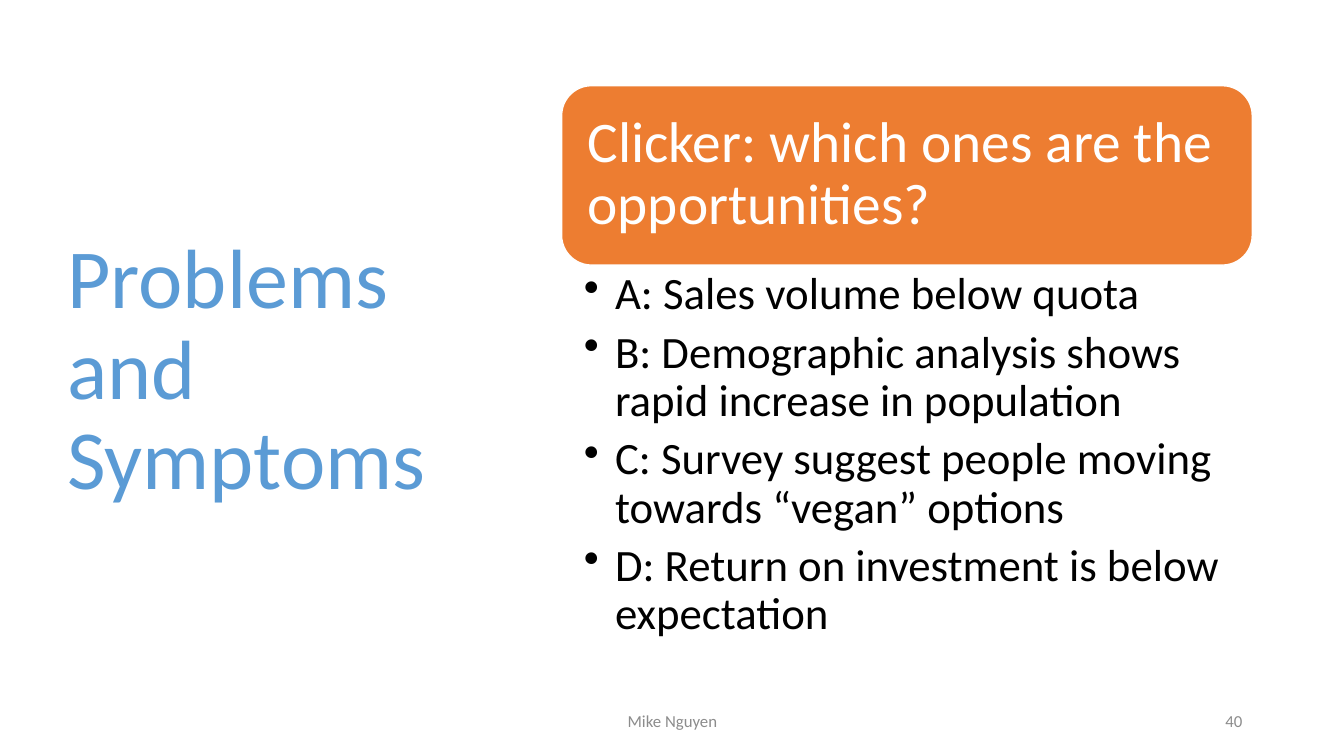
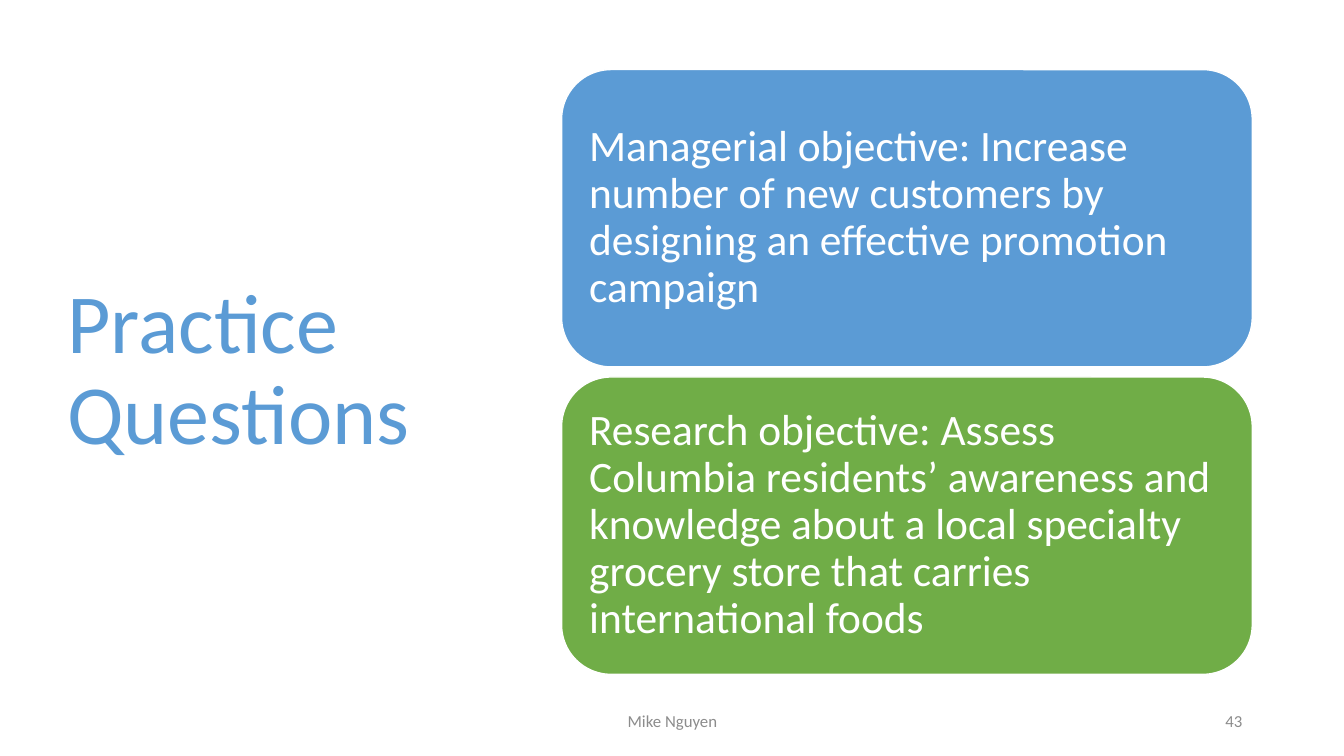
"""Build two slides with a blue title at left and rounded cards at right."""
import pptx
import pptx.dml.color
import pptx.enum.shapes
import pptx.enum.text
import pptx.oxml
import pptx.oxml.ns
import pptx.util

Inches = pptx.util.Inches
Pt = pptx.util.Pt
Align = pptx.enum.text.PP_ALIGN
Anchor = pptx.enum.text.MSO_ANCHOR

BLUE, ORANGE, GREEN = "5B9BD5", "ED7D31", "70AD47"
WHITE, BLACK, GREY = "FFFFFF", "000000", "8C8C8C"
CARD_LEFT, CARD_WIDTH = 5.57, 6.85
FOOTER_TOP, FOOTER_HEIGHT = 6.95, 0.4

TITLE = {"size": 60, "color": BLUE, "line_spacing": 0.9}
FOOTER = {"size": 12, "color": GREY}
BULLETS = {"size": 32, "color": BLACK, "line_spacing": 0.9, "space_after": Pt(7)}

slides = [
    {
        "title": "Problems and Symptoms",
        "number": "40",
        "cards": [("Clicker: which ones are the opportunities?", ORANGE)],
        "card_layout": {"top": 0.85, "height": 1.78, "size": 41, "inset": 0.17},
        "bullets": [
            "A: Sales volume below quota",
            "B: Demographic analysis shows rapid increase in population",
            "C: Survey suggest people moving towards “vegan” options",
            "D: Return on investment is below expectation",
        ],
    },
    {
        "title": "Practice Questions",
        "number": "43",
        "cards": [
            ("Managerial objective: Increase number of new customers by "
             "designing an effective promotion campaign", BLUE),
            ("Research objective: Assess Columbia residents’ awareness and "
             "knowledge about a local specialty grocery store that carries "
             "international foods", GREEN),
        ],
        "card_layout": {"top": 0.69, "height": 2.95, "size": 31, "inset": 0.13},
        "bullets": [],
    },
]


def rgb(value):
    return pptx.dml.color.RGBColor.from_string(value)


def write(box, lines, style, insets=(0.1, 0.05, 0.1, 0.05), anchor=Anchor.MIDDLE, bullet=False):
    frame = box.text_frame
    frame.word_wrap = True
    frame.vertical_anchor = anchor
    for side, inset in zip(("left", "top", "right", "bottom"), insets):
        setattr(frame, f"margin_{side}", Inches(inset))
    for index, line in enumerate(lines):
        para = frame.add_paragraph() if index else frame.paragraphs[0]
        para.alignment = Align.LEFT
        for name, value in style.items():
            if name not in ("size", "color"):
                setattr(para, name, value)
        if bullet:
            properties = para._p.get_or_add_pPr()
            properties.set("marL", str(Inches(0.31)))
            properties.set("indent", str(Inches(-0.31)))
            properties.append(pptx.oxml.parse_xml(
                f'<a:buChar {pptx.oxml.ns.nsdecls("a")} char="•"/>'))
        span = para.add_run()
        span.text = line
        span.font.name = "Calibri"
        span.font.size = Pt(style["size"])
        span.font.color.rgb = rgb(style["color"])


deck = pptx.Presentation()
deck.slide_width = Inches(13.33)
deck.slide_height = Inches(7.5)

for content in slides:
    page = deck.slides.add_slide(deck.slide_layouts[6])

    title = page.shapes.add_textbox(Inches(0.57), Inches(0.68), Inches(4.16), Inches(6.02))
    write(title, [content["title"]], TITLE)

    for text, left, width, alignment in (
        ("Mike Nguyen", 4.42, 4.5, Align.CENTER),
        (content["number"], 9.42, 3, Align.RIGHT),
    ):
        footer = page.shapes.add_textbox(
            Inches(left), Inches(FOOTER_TOP), Inches(width), Inches(FOOTER_HEIGHT))
        write(footer, [text], {**FOOTER, "alignment": alignment})

    layout = content["card_layout"]
    for index, (text, color) in enumerate(content["cards"]):
        top = layout["top"] + index * (layout["height"] + 0.1)
        card = page.shapes.add_shape(
            pptx.enum.shapes.MSO_SHAPE.ROUNDED_RECTANGLE,
            Inches(CARD_LEFT), Inches(top), Inches(CARD_WIDTH), Inches(layout["height"]))
        card.shadow.inherit = False
        card.fill.solid()
        card.fill.fore_color.rgb = rgb(color)
        card.line.color.rgb = rgb(WHITE)
        card.line.width = Pt(1)
        card_style = {"size": layout["size"], "color": WHITE, "line_spacing": 0.9}
        write(card, [text], card_style, insets=[layout["inset"]] * 4)

    if content["bullets"]:
        answers = page.shapes.add_textbox(
            Inches(CARD_LEFT), Inches(2.63), Inches(CARD_WIDTH), Inches(3.9))
        write(answers, content["bullets"], BULLETS, (0.22, 0.06, 0.32, 0.06), Anchor.TOP, True)

deck.save("out.pptx")
